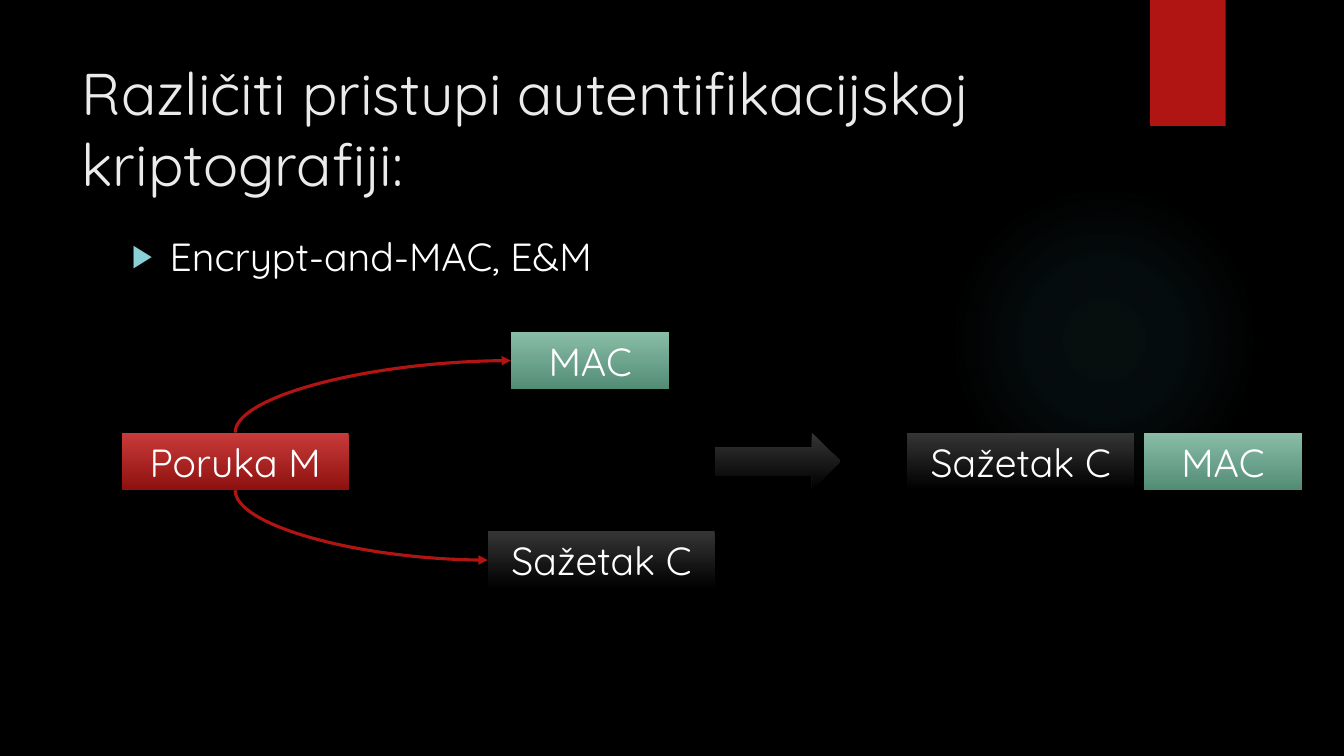
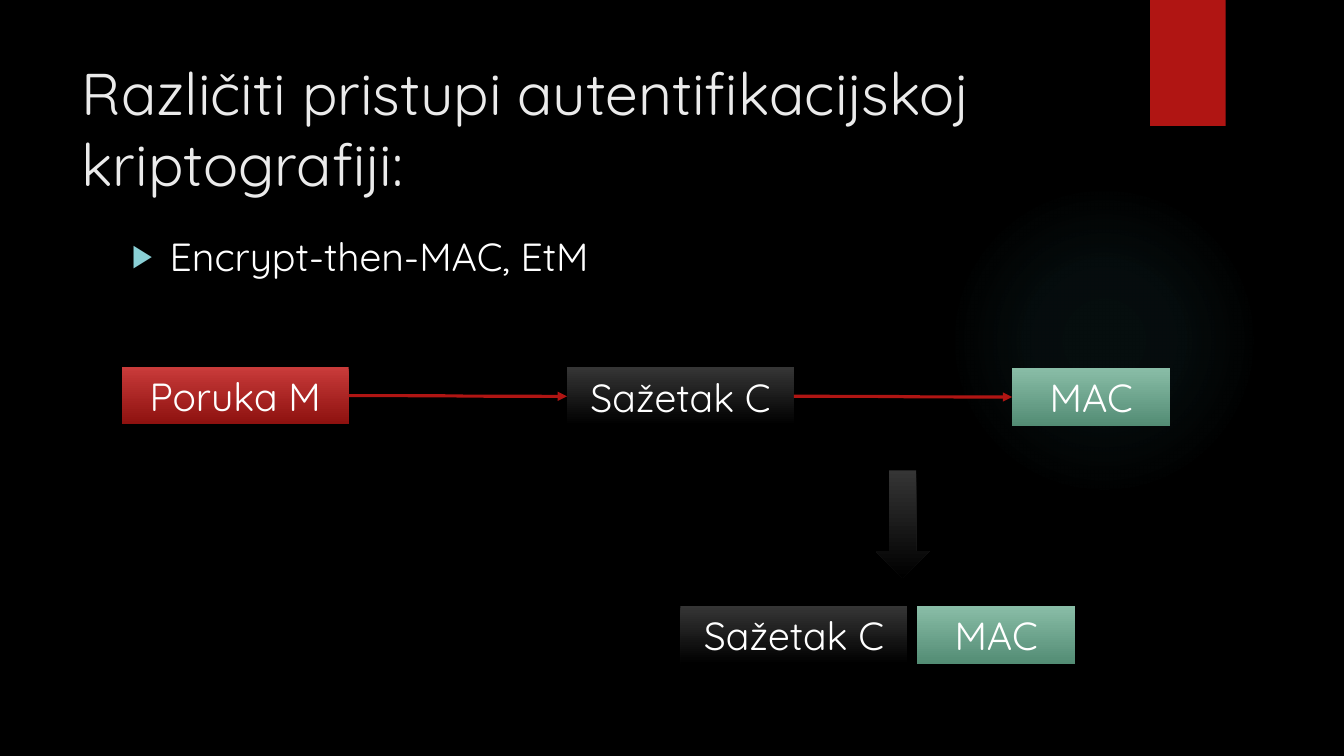
import pptx
import pptx.dml.color
import pptx.enum.shapes
import pptx.enum.text
import pptx.oxml
import pptx.oxml.ns
import pptx.util
from lxml import etree

Pt = pptx.util.Pt
RGBColor = pptx.dml.color.RGBColor
qn = pptx.oxml.ns.qn
SHAPES = pptx.enum.shapes.MSO_SHAPE

BLACK = RGBColor(0x00, 0x00, 0x00)
WHITE = RGBColor(0xFF, 0xFF, 0xFF)
TITLE_GREY = RGBColor(0xEB, 0xEB, 0xEB)
RED = RGBColor(0xB0, 0x15, 0x13)
BULLET_BLUE = RGBColor(0x8A, 0xD0, 0xD6)
GLOW_TEAL = RGBColor(0x50, 0xB9, 0xC1)
RED_GRADIENT = (RGBColor(0xC9, 0x3B, 0x3A), RGBColor(0x8D, 0x11, 0x0F))
GREEN_GRADIENT = (RGBColor(0x89, 0xBD, 0xA7), RGBColor(0x53, 0x8C, 0x74))
DARK_GRADIENT = (RGBColor(0x35, 0x35, 0x35), BLACK)

FONT = "Quicksand"
TITLE = "Različiti pristupi autentifikacijskoj kriptografiji:"
# Each kind of block: text, width, gradient
MESSAGE = ("Poruka M", 162, RED_GRADIENT)
DIGEST = ("Sažetak C", 162, DARK_GRADIENT)
MAC = ("MAC", 113, GREEN_GRADIENT)
BLOCK_HEIGHT = 41.2
PAIR_GAP = 7
TOP_SITE, LEFT_SITE, BOTTOM_SITE, RIGHT_SITE = range(4)


def place(shape, left, top, width, height):
    """Move and size a shape, in points."""
    shape.left, shape.top = Pt(left), Pt(top)
    shape.width, shape.height = Pt(width), Pt(height)


def style_text(para, size, color):
    """Format the runs of a paragraph."""
    for span in para.runs:
        span.font.name = FONT
        span.font.size = Pt(size)
        span.font.color.rgb = color


def add_plain_shape(slide, kind, left, top, width, height):
    """Add a preset shape without line or shadow."""
    shape = slide.shapes.add_shape(kind, Pt(left), Pt(top), Pt(width), Pt(height))
    shape.shadow.inherit = False
    shape.line.fill.background()
    return shape


def fill_gradient(shape, colors):
    """Fill a shape from top to bottom with two colours."""
    shape.fill.gradient()
    shape.fill.gradient_angle = 270
    for position, (stop, color) in enumerate(zip(shape.fill.gradient_stops, colors)):
        stop.position = position
        stop.color.rgb = color


def fill_glow(shape):
    """Fill a shape with a faint circular glow."""
    stops = "".join(
        f'<a:gs pos="{position}000"><a:srgbClr val="{GLOW_TEAL}">'
        f'<a:alpha val="{alpha}000"/></a:srgbClr></a:gs>'
        for position, alpha in ((0, 7), (36, 6), (69, 0))
    )
    gradient = pptx.oxml.parse_xml(
        f'<a:gradFill {pptx.oxml.ns.nsdecls("a")}><a:gsLst>{stops}</a:gsLst>'
        '<a:path path="circle"><a:fillToRect l="50000" t="50000" r="50000" b="50000"/>'
        "</a:path></a:gradFill>"
    )
    shape.fill.background()
    properties = shape.element.spPr
    properties.replace(properties.find(qn("a:noFill")), gradient)


def set_up_layout(deck, layout, slide):
    """Give the layout its background, decoration and placeholder places."""
    background = deck.slide_master.background.fill
    background.solid()
    background.fore_color.rgb = BLACK
    glow = add_plain_shape(slide, SHAPES.OVAL, 677.5, 131.8, 221.8, 221.8)
    fill_glow(glow)
    ribbon = add_plain_shape(slide, SHAPES.RECTANGLE, 821.5, 0, 54, 90)
    ribbon.fill.solid()
    ribbon.fill.fore_color.rgb = RED
    for position, shape in enumerate((glow, ribbon), start=2):
        layout.shapes.element.insert(position, shape.element)
    title, body = layout.placeholders[0], layout.placeholders[1]
    place(title, 51, 36, 741, 110)
    place(body, 87, 162, 704, 44.6)


def add_bullet(para):
    """Give a paragraph a hanging triangle bullet."""
    properties = para._p.get_or_add_pPr()
    properties.set("marL", str(Pt(27)))
    properties.set("indent", str(-Pt(27)))
    color = etree.SubElement(properties, qn("a:buClr"))
    etree.SubElement(color, qn("a:srgbClr"), val=str(BULLET_BLUE))
    etree.SubElement(properties, qn("a:buSzPct"), val="80000")
    etree.SubElement(properties, qn("a:buFont"), typeface="Arial")
    etree.SubElement(properties, qn("a:buChar"), char="▶")


def write_headings(slide, approach):
    """Fill the title and the one-item list."""
    title, body = slide.placeholders[0], slide.placeholders[1]
    title.text_frame.text = TITLE
    title.text_frame.auto_size = pptx.enum.text.MSO_AUTO_SIZE.NONE
    title.text_frame.vertical_anchor = pptx.enum.text.MSO_ANCHOR.MIDDLE
    para = title.text_frame.paragraphs[0]
    para.alignment = pptx.enum.text.PP_ALIGN.LEFT
    style_text(para, 42, TITLE_GREY)
    body.text_frame.text = approach
    body.text_frame.auto_size = pptx.enum.text.MSO_AUTO_SIZE.NONE
    para = body.text_frame.paragraphs[0]
    para.space_before = Pt(10)
    add_bullet(para)
    style_text(para, 28, WHITE)


def add_block(slide, block, left, top):
    """Add a labelled gradient box."""
    text, width, colors = block
    box = add_plain_shape(slide, SHAPES.RECTANGLE, left, top, width, BLOCK_HEIGHT)
    fill_gradient(box, colors)
    frame = box.text_frame
    frame.text = text
    frame.word_wrap = True
    frame.auto_size = pptx.enum.text.MSO_AUTO_SIZE.SHAPE_TO_FIT_TEXT
    para = frame.paragraphs[0]
    para.alignment = pptx.enum.text.PP_ALIGN.CENTER
    style_text(para, 28, WHITE)
    return box


def add_result(slide, left, top):
    """Add the digest and the MAC side by side."""
    add_block(slide, DIGEST, left, top)
    add_block(slide, MAC, left + DIGEST[1] + PAIR_GAP, top)


def add_block_arrow(slide, kind, left, top, width, height):
    """Add a dark block arrow."""
    arrow = add_plain_shape(slide, kind, left, top, width, height)
    fill_gradient(arrow, DARK_GRADIENT)


def add_curve(slide, source, source_site, target):
    """Join two boxes by a curved red arrow ending at the target's left."""
    curve = slide.shapes.add_connector(
        pptx.enum.shapes.MSO_CONNECTOR.CURVE, Pt(0), Pt(0), Pt(0), Pt(0)
    )
    curve.begin_connect(source, source_site)
    curve.end_connect(target, LEFT_SITE)
    curve.line.color.rgb = RED
    curve.line.width = Pt(2.25)
    properties = curve.element.spPr
    etree.SubElement(properties.find(qn("a:ln")), qn("a:tailEnd"), type="triangle")
    etree.SubElement(properties, qn("a:effectLst"))
    return curve


def bend_curve(curve):
    """Turn a curve into a quarter bend that leaves its source vertically."""
    upward = curve.end_y < curve.begin_y
    run, rise = curve.width, curve.height
    middle_x = curve.left + run // 2
    middle_y = curve.top + rise // 2
    curve.left, curve.top = middle_x - rise // 2, middle_y - run // 2
    curve.width, curve.height = rise, run
    properties = curve.element.spPr
    frame = properties.find(qn("a:xfrm"))
    frame.set("rot", "5400000" if upward else "16200000")
    frame.set("flipH", "1")
    frame.set("flipV", "1" if upward else "0")
    properties.find(qn("a:prstGeom")).set("prst", "curvedConnector2")


def draw_encrypt_and_mac(slide):
    """Draw the message feeding MAC and digest separately."""
    write_headings(slide, "Encrypt-and-MAC, E&M")
    message = add_block(slide, MESSAGE, 87, 309)
    mac = add_block(slide, MAC, 365, 237)
    digest = add_block(slide, DIGEST, 348.5, 379.5)
    for site, target in ((TOP_SITE, mac), (BOTTOM_SITE, digest)):
        bend_curve(add_curve(slide, message, site, target))
    add_result(slide, 648, 309)
    add_block_arrow(slide, SHAPES.RIGHT_ARROW, 510.5, 309, 90, BLOCK_HEIGHT)


def draw_encrypt_then_mac(slide):
    """Draw the chain from message to digest to MAC."""
    write_headings(slide, "Encrypt-then-MAC, EtM")
    step = MESSAGE[1] + 156
    message, digest, mac = [
        add_block(slide, block, 87 + step * index, 262 + 0.5 * index)
        for index, block in enumerate((MESSAGE, DIGEST, MAC))
    ]
    for source, target in ((message, digest), (digest, mac)):
        add_curve(slide, source, RIGHT_SITE, target)
    add_block_arrow(slide, SHAPES.DOWN_ARROW, 625.5, 336, 38.5, 77)
    add_result(slide, 486, 433)


def main():
    """Build and save the deck."""
    deck = pptx.Presentation()
    deck.slide_width, deck.slide_height = Pt(960), Pt(540)
    layout = deck.slide_layouts[1]
    first, second = [deck.slides.add_slide(layout) for _ in range(2)]
    set_up_layout(deck, layout, first)
    draw_encrypt_and_mac(first)
    draw_encrypt_then_mac(second)
    deck.save("out.pptx")


main()
